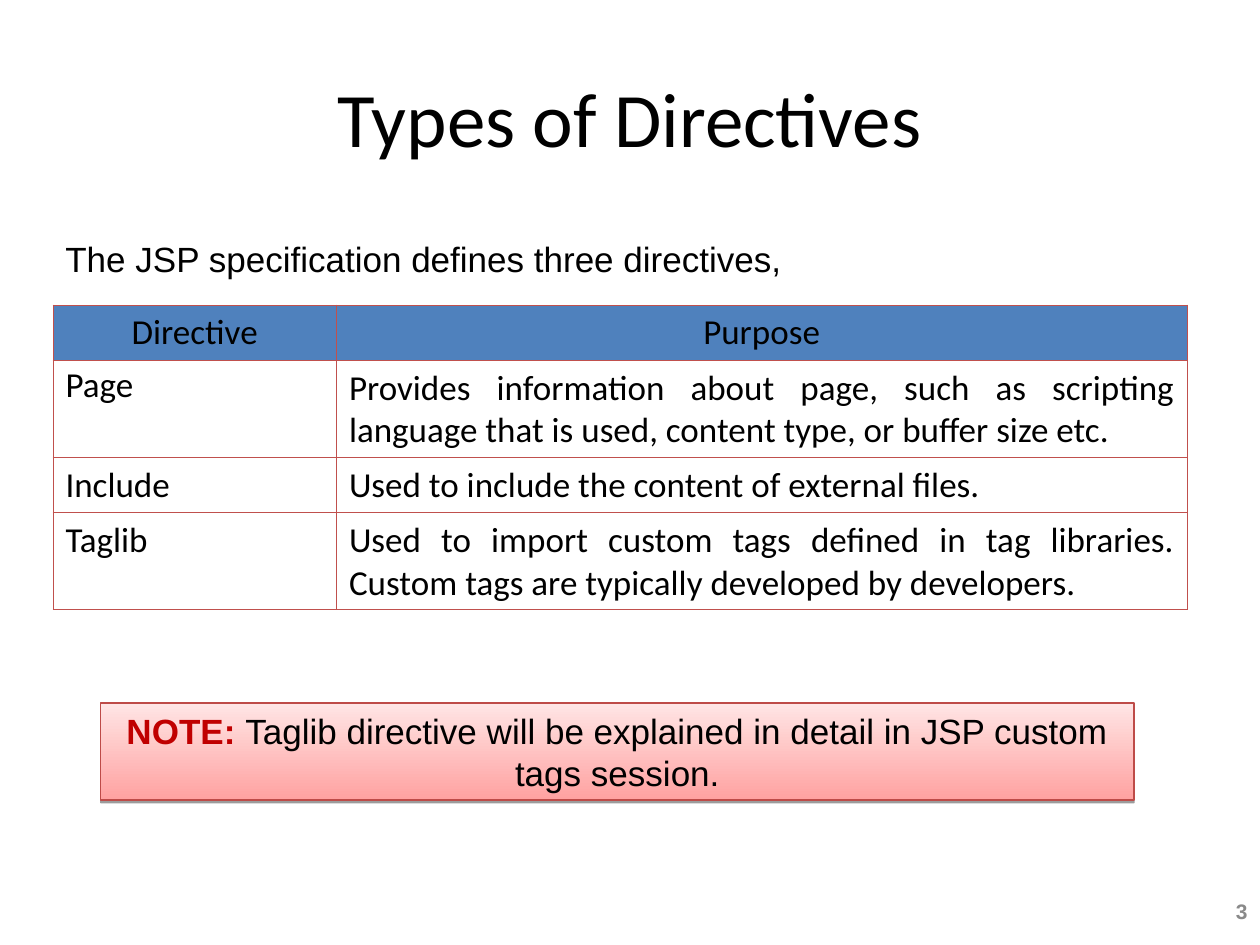
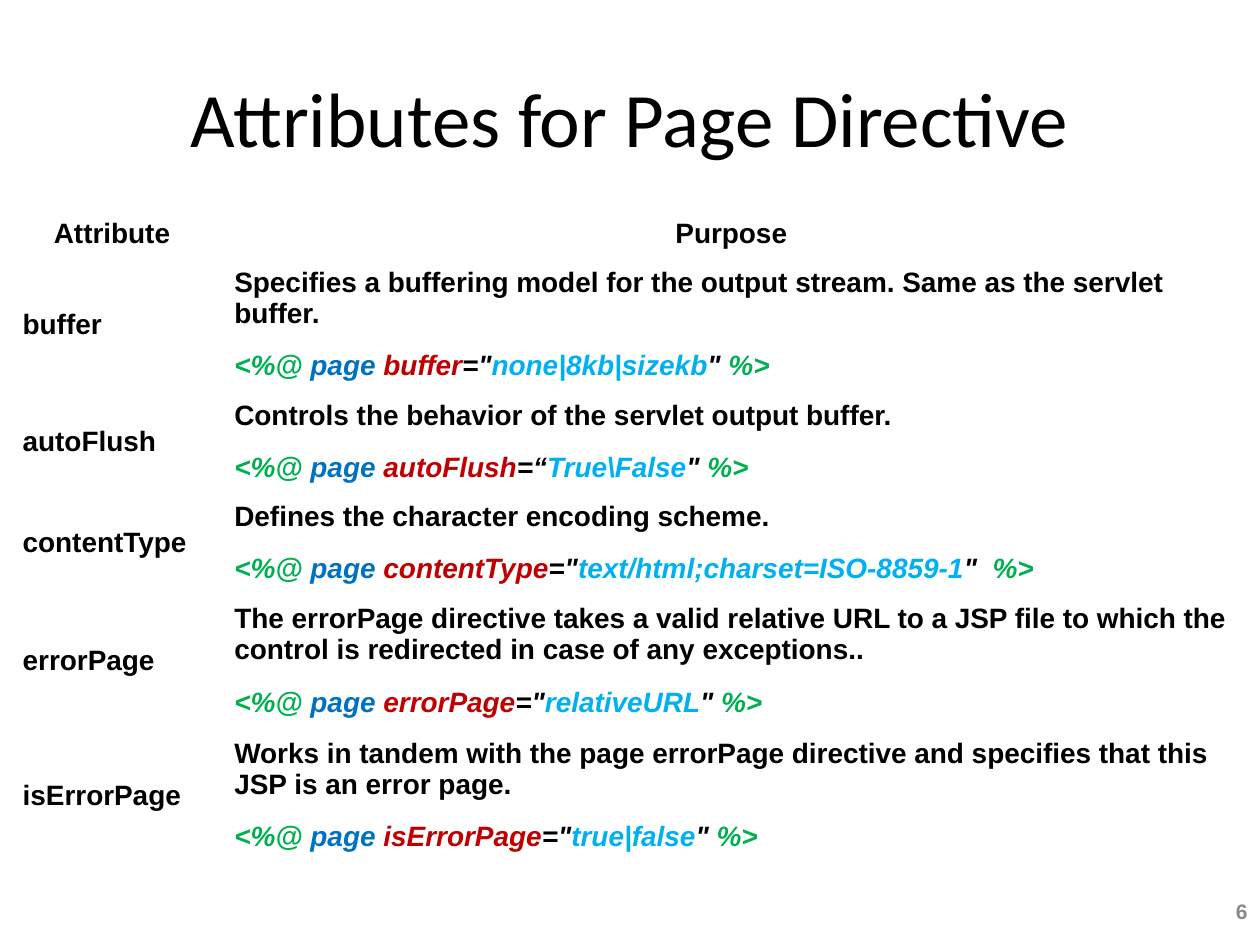
from dataclasses import dataclass

from lxml.etree import SubElement
from pptx import Presentation
from pptx.dml.color import RGBColor as RGB
from pptx.enum.shapes import MSO_SHAPE as SHAPE
from pptx.enum.text import MSO_ANCHOR as ANCHOR, PP_ALIGN as ALIGN
from pptx.oxml.ns import qn
from pptx.util import Inches, Pt

WIDTH, HEIGHT = Inches(10), Inches(7.5)
COL, ROW = WIDTH / 20, HEIGHT / 15
PLAIN_TABLE = "{2D5ABB26-0587-4C30-8999-92F81FD0307C}"


@dataclass(frozen=True)
class Theme:
    ink: str = "000000"
    muted: str = "898989"
    header: str = "4F81BD"
    grid: str = "C0504D"
    alert: str = "C00000"
    note_line: str = "BE4B48"
    note_low: str = "FFA2A1"
    note_high: str = "FFE5E5"
    tag: str = "00B050"
    keyword: str = "0070C0"
    value: str = "00B0F0"
    heading_font: str = "Calibri"
    body_font: str = "Arial"
    title_size: int = 44
    body_size: int = 20
    table_size: int = 16
    number_size: int = 12


T = Theme()
BODY = {"name": T.body_font, "size": Pt(T.body_size)}
TITLE = {"name": T.heading_font, "size": Pt(T.title_size)}
NUMBER = {"name": T.body_font, "size": Pt(T.number_size), "bold": True}
TYPE_CELL = {"name": T.heading_font, "size": Pt(T.body_size)}
ATTRIBUTE_CELL = {"name": T.body_font, "size": Pt(T.table_size), "bold": True}
CODE = {**ATTRIBUTE_CELL, "italic": True}
LEAD = {"line_spacing": 0.9, "space_before": Pt(12.5)}
CENTER = {"alignment": ALIGN.CENTER}
JUSTIFY = {"alignment": ALIGN.JUSTIFY}
SPACED = {"space_before": Pt(12)}

DIRECTIVES = [
    ("Page", "Provides information about page, such as scripting language "
             "that is used, content type, or buffer size etc."),
    ("Include", "Used to include the content of external files."),
    ("Taglib", "Used to import custom tags defined in tag libraries. "
               "Custom tags are typically developed by developers."),
]

ATTRIBUTES = [
    ("buffer", "Specifies a buffering model for the output stream. "
               "Same as the servlet buffer.", '="', "none|8kb|sizekb", '" '),
    ("autoFlush", "Controls the behavior of the servlet output buffer.",
     "=“", "True\\False", '" '),
    ("contentType", "Defines the character encoding scheme.",
     '="', "text/html;charset=ISO-8859-1", '"  '),
    ("errorPage", "The errorPage directive takes a valid relative URL to a "
                  "JSP file to which the control is redirected in case of "
                  "any exceptions..", '="', "relativeURL", '" '),
    ("isErrorPage", "Works in tandem with the page errorPage directive and "
                    "specifies that this JSP is an error page.",
     '="', "true|false", '" '),
]


def on_grid(x, y, w, h):
    return [round(n) for n in (x * COL, y * ROW, w * COL, h * ROW)]


def apply(target, values):
    for name, value in values.items():
        setattr(target, name, value)


def write(tf, paragraphs, font):
    for i, (runs, layout) in enumerate(paragraphs):
        p = tf.add_paragraph() if i else tf.paragraphs[0]
        apply(p, layout)
        for text, color, *extra in runs:
            r = p.add_run()
            r.text = text
            apply(r.font, {**font, **(extra[0] if extra else {})})
            r.font.color.rgb = RGB.from_string(color)


def plain(text, layout, color=T.ink):
    return [(text, color)], layout


def add_text(s, at, paragraph, font, anchor=ANCHOR.TOP):
    tf = s.shapes.add_textbox(*on_grid(*at)).text_frame
    apply(tf, {"word_wrap": True, "vertical_anchor": anchor})
    write(tf, [paragraph], font)


def add_page(prs, title, number):
    s = prs.slides.add_slide(prs.slide_layouts[6])
    add_text(s, (1, 0.6, 18, 2.5), plain(title, CENTER), TITLE, ANCHOR.MIDDLE)
    add_text(s, (19.02, 14.12, 0.98, 0.7),
             plain(str(number), {"alignment": ALIGN.RIGHT}, T.muted),
             NUMBER, ANCHOR.MIDDLE)
    return s


def border(cell, color):
    pr = cell._tc.get_or_add_tcPr()
    for i, side in enumerate(("lnL", "lnR", "lnT", "lnB")):
        ln = pr.makeelement(qn(f"a:{side}"), {"w": str(Pt(0.45))})
        pr.insert(i, ln)
        fill = SubElement(ln, qn("a:solidFill"))
        SubElement(fill, qn("a:srgbClr"), val=color)


def add_table(s, x, y, cols, rows, cells, font, anchor=ANCHOR.TOP,
              header=None, line=None):
    at = on_grid(x, y, sum(cols), sum(rows))
    table = s.shapes.add_table(len(rows), len(cols), *at).table
    apply(table, {"first_row": False, "horz_banding": False})
    table._tbl.tblPr.find(qn("a:tableStyleId")).text = PLAIN_TABLE
    for column, w in zip(table.columns, cols):
        column.width = round(w * COL)
    for i, (row, h) in enumerate(zip(table.rows, rows)):
        row.height = round(h * ROW)
        for cell, paragraphs in zip(row.cells, cells[i]):
            cell.vertical_anchor = anchor
            write(cell.text_frame, paragraphs, font)
            if header and i == 0:
                cell.fill.solid()
                cell.fill.fore_color.rgb = RGB.from_string(header)
            else:
                cell.fill.background()
            if line:
                border(cell, line)


def add_note(s, at, label, text):
    sp = s.shapes.add_shape(SHAPE.RECTANGLE, *on_grid(*at))
    sp.fill.gradient()
    sp.fill.gradient_angle = 90
    for stop, color in zip(sp.fill.gradient_stops, (T.note_low, T.note_high)):
        stop.color.rgb = RGB.from_string(color)
    sp.line.color.rgb = RGB.from_string(T.note_line)
    sp.line.width = Pt(0.75)
    sp.shadow.inherit = False
    effects = sp._element.spPr.find(qn("a:effectLst"))
    shadow = SubElement(effects, qn("a:outerShdw"), blurRad="0",
                        dist=str(Pt(1.6)), dir="5400000", rotWithShape="0")
    color = SubElement(shadow, qn("a:srgbClr"), val=T.ink)
    SubElement(color, qn("a:alpha"), val="38000")
    apply(sp.text_frame, {"word_wrap": True, "vertical_anchor": ANCHOR.TOP})
    runs = [(label, T.alert, {"bold": True}), (text, T.ink)]
    write(sp.text_frame, [(runs, CENTER)], BODY)


def usage(name, opening, value, closing):
    parts = [("<%@ ", T.tag), ("page ", T.keyword), (name, T.alert),
             (opening, T.ink), (value, T.value), (closing, T.ink),
             ("%>", T.tag)]
    return [(text, color, CODE) for text, color in parts], SPACED


def add_directive_types(prs):
    s = add_page(prs, "Types of Directives", 3)
    add_text(s, (0.84, 3.74, 17.16, 0.8),
             plain("The JSP specification defines three directives,", LEAD),
             BODY)
    cells = [[[plain(head, CENTER)] for head in ("Directive", "Purpose")]]
    for i, (name, purpose) in enumerate(DIRECTIVES):
        cells.append([[plain(name, {} if i else LEAD)],
                      [plain(purpose, JUSTIFY)]])
    add_table(s, 0.84, 4.84, (4.5, 13.5), (0.88, 1.54) * 2, cells, TYPE_CELL,
              header=T.header, line=T.grid)
    add_note(s, (1.6, 11.16, 16.4, 1.54), "NOTE: ",
             "Taglib directive will be explained in detail in JSP custom "
             "tags session.")


def add_page_attributes(prs):
    s = add_page(prs, "Attributes for Page Directive", 6)
    cells = [[[plain(head, {**CENTER, **SPACED})]
              for head in ("Attribute ", "Purpose ")]]
    for name, purpose, *syntax in ATTRIBUTES:
        cells.append([[plain(name, SPACED)],
                      [plain(purpose, SPACED), usage(name, *syntax)]])
    add_table(s, 0.16, 3.34, (3.36, 16.3),
              (0.74, 2.14, 1.6, 1.6, 2.14, 2.14), cells, ATTRIBUTE_CELL,
              ANCHOR.MIDDLE)


def main():
    prs = Presentation()
    apply(prs, {"slide_width": WIDTH, "slide_height": HEIGHT})
    add_directive_types(prs)
    add_page_attributes(prs)
    prs.save("out.pptx")


if __name__ == "__main__":
    main()
